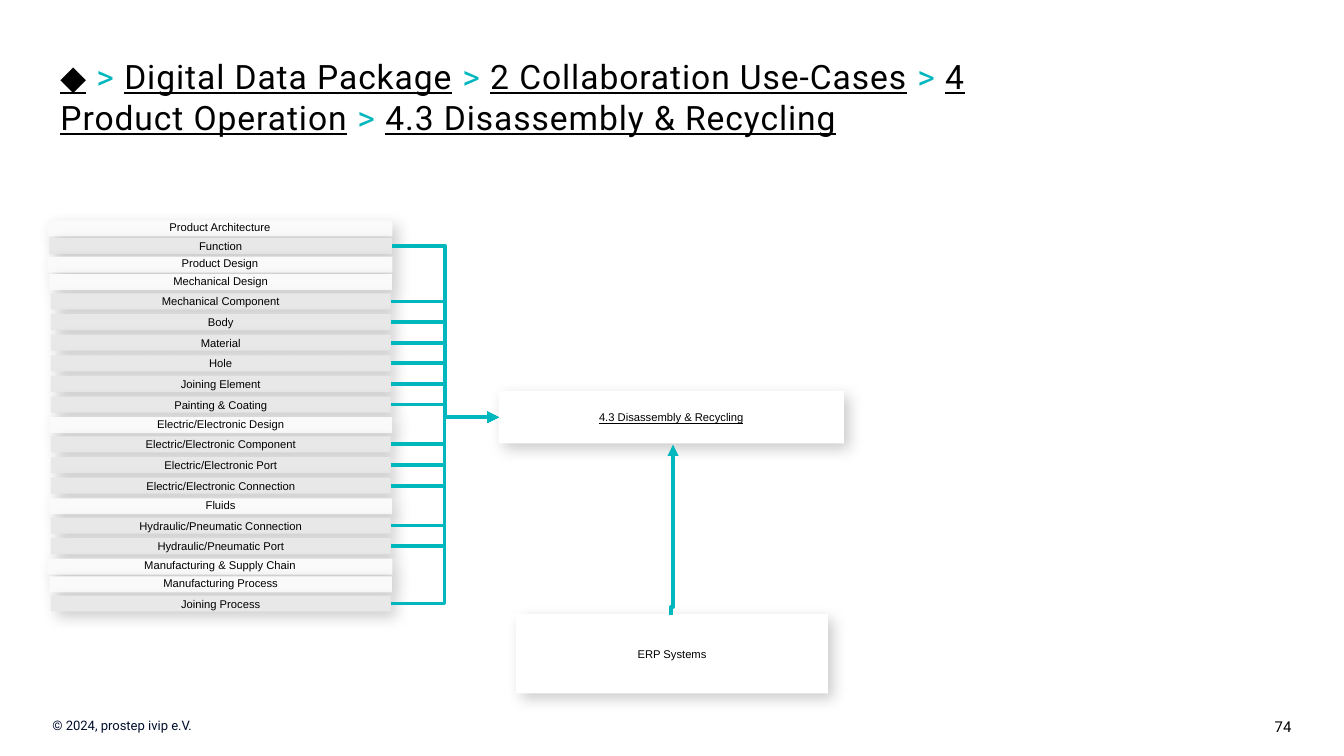
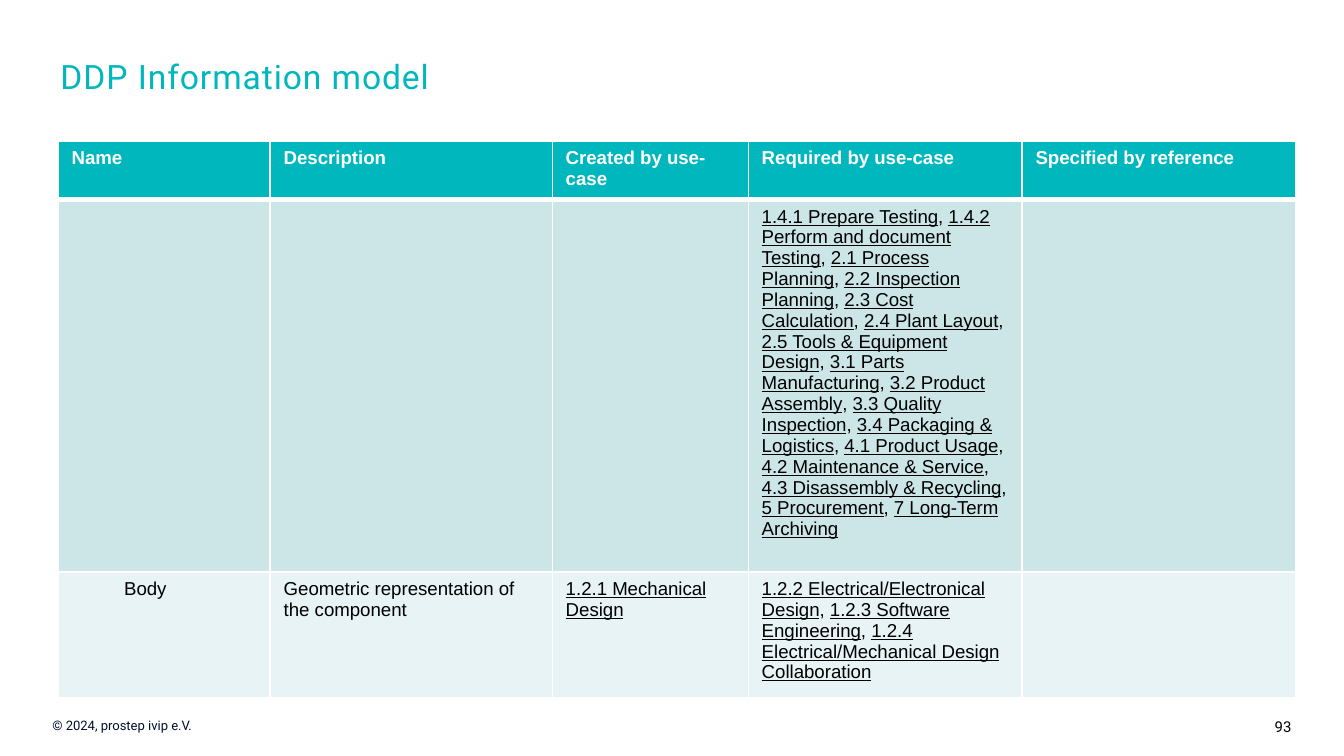
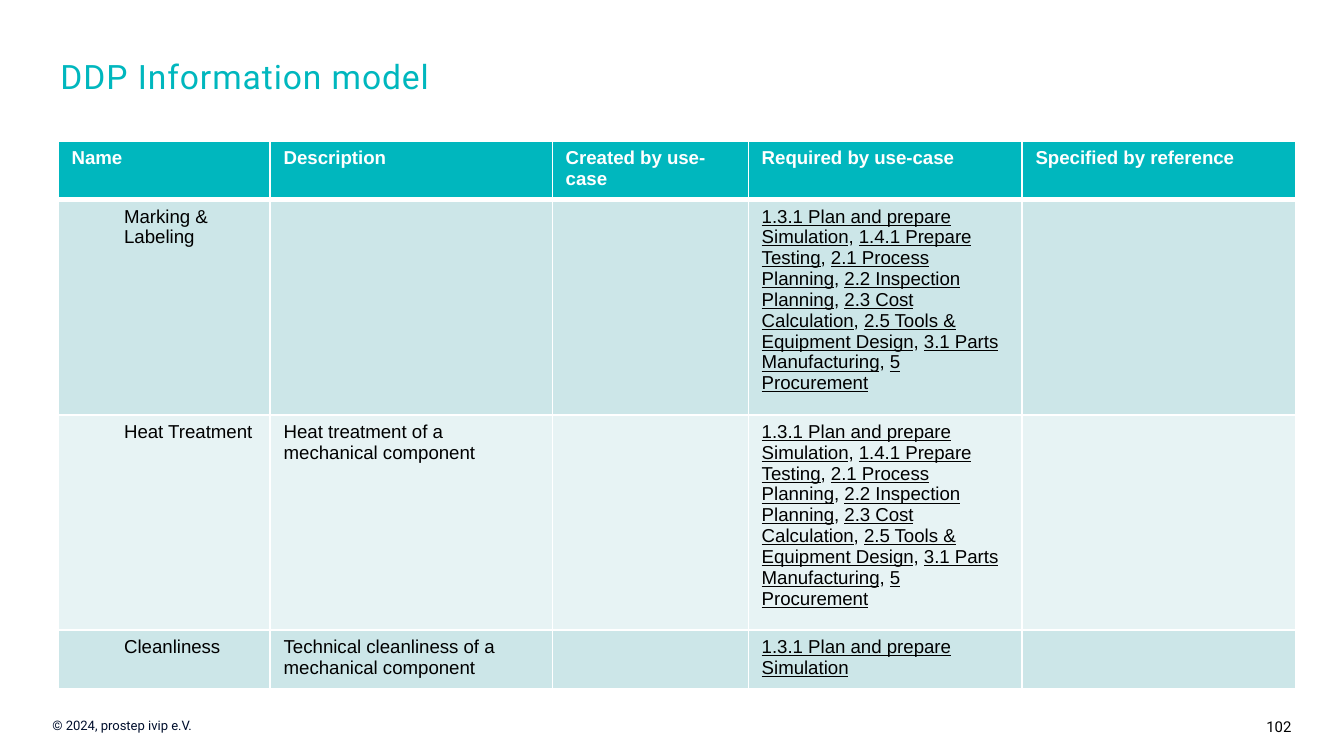
from dataclasses import dataclass, replace
from typing import Any, Sequence, Union

from lxml import etree
from pptx import Presentation
from pptx.dml.color import RGBColor
from pptx.enum.shapes import MSO_CONNECTOR, MSO_SHAPE
from pptx.enum.text import MSO_ANCHOR, MSO_AUTO_SIZE, PP_ALIGN
from pptx.oxml.ns import qn
from pptx.util import Pt

RECTANGLE = MSO_SHAPE.RECTANGLE
ELBOW = MSO_CONNECTOR.ELBOW
TOP, MIDDLE = MSO_ANCHOR.TOP, MSO_ANCHOR.MIDDLE
LEFT, CENTER, RIGHT = PP_ALIGN.LEFT, PP_ALIGN.CENTER, PP_ALIGN.RIGHT
FIT_NONE, FIT_SHAPE = MSO_AUTO_SIZE.NONE, MSO_AUTO_SIZE.SHAPE_TO_FIT_TEXT
TITLE_ONLY = 5
LEFT_SITE, RIGHT_SITE = 1, 3


@dataclass(frozen=True)
class Theme:
    accent: RGBColor = RGBColor(0x00, 0xB7, 0xBE)
    black: RGBColor = RGBColor(0x00, 0x00, 0x00)
    white: RGBColor = RGBColor(0xFF, 0xFF, 0xFF)
    navy: RGBColor = RGBColor(0x00, 0x0F, 0x2D)
    heading_fill: RGBColor = RGBColor(0xFA, 0xFA, 0xFA)
    item_fill: RGBColor = RGBColor(0xE8, 0xE8, 0xE8)
    odd_row: RGBColor = RGBColor(0xCC, 0xE6, 0xE8)
    even_row: RGBColor = RGBColor(0xE7, 0xF3, 0xF4)
    brand_font: str = "Roboto"
    body_font: str = "Arial"
    title_size: float = 18
    table_size: float = 10
    page_size: float = 8
    footer_size: float = 7
    box_size: float = 6
    line_width: float = 2


THEME = Theme()


@dataclass(frozen=True)
class TextLook:
    font: str
    size: float
    color: RGBColor
    bold: bool = False
    underline: bool = False
    spacing: int = 0


TITLE_LOOK = TextLook(THEME.brand_font, THEME.title_size, THEME.accent, spacing=50)
TITLE_LINK = replace(TITLE_LOOK, color=THEME.black, underline=True)
PAGE_LOOK = TextLook(THEME.brand_font, THEME.page_size, THEME.black)
FOOTER_LOOK = TextLook(THEME.brand_font, THEME.footer_size, THEME.navy)
BOX_LOOK = TextLook(THEME.body_font, THEME.box_size, THEME.black)
BOX_LINK = replace(BOX_LOOK, underline=True)
CELL_LOOK = TextLook(THEME.body_font, THEME.table_size, THEME.black)
CELL_LINK = replace(CELL_LOOK, underline=True)
HEADER_LOOK = replace(CELL_LOOK, color=THEME.white, bold=True)


@dataclass(frozen=True)
class Area:
    left: float
    top: float
    width: float
    height: float

    def lengths(self) -> tuple:
        return Pt(self.left), Pt(self.top), Pt(self.width), Pt(self.height)


@dataclass(frozen=True)
class BarKind:
    left: float
    width: float
    fill: RGBColor
    anchor: Any
    step: float
    linked: bool


CHAPTER = BarKind(25.4, 184.8, THEME.heading_fill, TOP, 9.4, False)
SECTION = BarKind(26.4, 183.6, THEME.heading_fill, TOP, 10.3, False)
FEATURE = BarKind(26.4, 183.6, THEME.item_fill, MIDDLE, 10, True)
PART = BarKind(27.2, 182, THEME.item_fill, MIDDLE, 11.05, True)

BARS = (
    (CHAPTER, ("Product Architecture",)),
    (FEATURE, ("Function",)),
    (CHAPTER, ("Product Design",)),
    (SECTION, ("Mechanical Design",)),
    (PART, ("Mechanical Component", "Body", "Material", "Hole",
            "Joining Element", "Painting & Coating")),
    (SECTION, ("Electric/Electronic Design",)),
    (PART, ("Electric/Electronic Component", "Electric/Electronic Port",
            "Electric/Electronic Connection")),
    (SECTION, ("Fluids",)),
    (PART, ("Hydraulic/Pneumatic Connection", "Hydraulic/Pneumatic Port")),
    (CHAPTER, ("Manufacturing & Supply Chain",)),
    (SECTION, ("Manufacturing Process",)),
    (PART, ("Joining Process",)),
)
FIRST_BAR_TOP = 118.1
BAR_HEIGHT = 8.6

TITLE_AREA = Area(25.2, 26.6, 539.3, 49)
PAGE_AREA = Area(654.5, 380.9, 65.5, 17.3)
FOOTER_AREA = Area(0, 380.9, 172.8, 15.8)
USE_CASE_AREA = Area(267.1, 209.5, 185, 28.1)
SYSTEMS_AREA = Area(276.5, 329, 167, 42.5)
TABLE_AREA = Area(31.2, 75.6, 663.1, 74.2)

Cell = Union[str, tuple]


@dataclass(frozen=True)
class TableRow:
    height: float
    name: str = ""
    description: str = ""
    created_by: Cell = ""
    required_by: Cell = ""
    reference: str = ""

    def cells(self) -> tuple:
        return (self.name, self.description, self.created_by, self.required_by,
                self.reference)


COLUMN_WIDTHS = (113.6, 151.1, 105, 146.7, 146.7)
HEADER = TableRow(11.5, "Name", "Description", "Created by use-case",
                  "Required by use-case", "Specified by reference")
TREATMENT_USES = (
    "1.3.1 Plan and prepare Simulation", "1.4.1 Prepare Testing",
    "2.1 Process Planning", "2.2 Inspection Planning", "2.3 Cost Calculation",
    "2.5 Tools & Equipment Design", "3.1 Parts Manufacturing", "5 Procurement",
)
BODY_ROWS = (
    TableRow(11.5, required_by=(
        "1.4.1 Prepare Testing", "1.4.2 Perform and document Testing",
        "2.1 Process Planning", "2.2 Inspection Planning",
        "2.3 Cost Calculation", "2.4 Plant Layout",
        "2.5 Tools & Equipment Design", "3.1 Parts Manufacturing",
        "3.2 Product Assembly", "3.3 Quality Inspection",
        "3.4 Packaging & Logistics", "4.1 Product Usage",
        "4.2 Maintenance & Service", "4.3 Disassembly & Recycling",
        "5 Procurement", "7 Long-Term Archiving")),
    TableRow(59.8, "Body", "Geometric representation of the component",
             ("1.2.1 Mechanical Design",),
             ("1.2.2 Electrical/Electronical Design",
              "1.2.3 Software Engineering",
              "1.2.4 Electrical/Mechanical Design Collaboration")),
)
TREATMENT_ROWS = (
    TableRow(108, "Marking & Labeling", required_by=TREATMENT_USES),
    TableRow(108, "Heat Treatment", "Heat treatment of a mechanical component",
             required_by=TREATMENT_USES),
    TableRow(23.8, "Cleanliness", "Technical cleanliness of a mechanical component",
             required_by=TREATMENT_USES[:1]),
)


def apply_format(target: Any, values: dict) -> None:
    for name, value in values.items():
        setattr(target, name, value)


def margins(left: float, top: float, right: float, bottom: float) -> dict:
    return {"margin_left": Pt(left), "margin_top": Pt(top),
            "margin_right": Pt(right), "margin_bottom": Pt(bottom)}


def write_run(paragraph: Any, text: str, look: TextLook) -> None:
    run = paragraph.add_run()
    run.text = text
    apply_format(run.font, {"name": look.font, "size": Pt(look.size),
                            "bold": look.bold, "underline": look.underline})
    run.font.color.rgb = look.color
    if look.spacing:
        run.font._element.set("spc", str(look.spacing))


def write_links(paragraph: Any, names: Sequence[str], link: TextLook,
                separator: str, plain: TextLook) -> None:
    for index, name in enumerate(names):
        if index:
            write_run(paragraph, separator, plain)
        write_run(paragraph, name, link)


def add_footer_text(slide: Any, area: Area, text: str, look: TextLook,
                    alignment: Any, insets: dict) -> None:
    frame = slide.shapes.add_textbox(*area.lengths()).text_frame
    apply_format(frame, {"word_wrap": True, "auto_size": FIT_SHAPE, **insets})
    frame.paragraphs[0].alignment = alignment
    write_run(frame.paragraphs[0], text, look)


def start_slide(presentation: Any, page: int, *title: str) -> Any:
    slide = presentation.slides.add_slide(presentation.slide_layouts[TITLE_ONLY])
    add_footer_text(slide, PAGE_AREA, str(page), PAGE_LOOK, RIGHT,
                    margins(7.2, 3.6, 28.1, 3.6))
    add_footer_text(slide, FOOTER_AREA, "© 2024, prostep ivip e.V.", FOOTER_LOOK,
                    LEFT, margins(28.1, 3.6, 7.2, 3.6))
    placeholder = slide.shapes.title
    apply_format(placeholder, dict(zip(("left", "top", "width", "height"),
                                       TITLE_AREA.lengths())))
    frame = placeholder.text_frame
    apply_format(frame, {"word_wrap": True, "auto_size": FIT_NONE,
                         "vertical_anchor": TOP, **margins(7.2, 3.6, 7.2, 3.6)})
    paragraph = frame.paragraphs[0]
    paragraph.alignment = LEFT
    link = TITLE_LINK if len(title) > 1 else TITLE_LOOK
    write_links(paragraph, title, link, " > ", TITLE_LOOK)
    return slide


def add_shadow(shape: Any) -> None:
    shape.shadow.inherit = False
    effects = shape._element.spPr.find(qn("a:effectLst"))
    shadow = etree.SubElement(effects, qn("a:outerShdw"), blurRad=str(Pt(8)),
                              dist=str(Pt(4)), dir="2700000", algn="tl",
                              rotWithShape="0")
    color = etree.SubElement(shadow, qn("a:srgbClr"), val=str(THEME.black))
    etree.SubElement(color, qn("a:alpha"), val="20000")


def add_box(slide: Any, area: Area, text: str, fill: RGBColor,
            anchor: Any = MIDDLE, look: TextLook = BOX_LOOK, inset: float = 0) -> Any:
    shape = slide.shapes.add_shape(RECTANGLE, *area.lengths())
    shape.fill.solid()
    shape.fill.fore_color.rgb = fill
    shape.line.fill.background()
    add_shadow(shape)
    frame = shape.text_frame
    apply_format(frame, {"word_wrap": True, "vertical_anchor": anchor,
                         **margins(inset, inset, inset, inset)})
    frame.paragraphs[0].alignment = CENTER
    write_run(frame.paragraphs[0], text, look)
    return shape


def add_arrow(slide: Any, begin_x: int, begin_y: int, end_x: int, end_y: int) -> Any:
    connector = slide.shapes.add_connector(ELBOW, begin_x, begin_y, end_x, end_y)
    connector.line.color.rgb = THEME.accent
    connector.line.width = Pt(THEME.line_width)
    properties = connector._element.spPr
    etree.SubElement(properties.find(qn("a:ln")), qn("a:tailEnd"), type="triangle")
    etree.SubElement(properties, qn("a:effectLst"))
    return connector


def link_bar(slide: Any, bar: Any, target: Any) -> None:
    connector = add_arrow(slide, bar.left + bar.width, bar.top + bar.height // 2,
                          target.left, target.top + target.height // 2)
    connector.begin_connect(bar, RIGHT_SITE)
    connector.end_connect(target, LEFT_SITE)


def link_systems(slide: Any) -> None:
    center_x, center_y, length, jog = 360, 284, 91.4, 1
    connector = add_arrow(slide, Pt(center_x + length / 2), Pt(center_y + jog / 2),
                          Pt(center_x - length / 2), Pt(center_y - jog / 2))
    properties = connector._element.spPr
    properties.find(qn("a:xfrm")).set("rot", "5400000")
    adjustments = properties.find(qn("a:prstGeom")).find(qn("a:avLst"))
    etree.SubElement(adjustments, qn("a:gd"), name="adj1", fmla="val 5000")


def build_use_case_slide(presentation: Any) -> None:
    slide = start_slide(presentation, 74, "◆", "Digital Data Package",
                        "2 Collaboration Use-Cases", "4 Product Operation",
                        "4.3 Disassembly & Recycling")
    use_case = add_box(slide, USE_CASE_AREA, "4.3 Disassembly & Recycling",
                       THEME.white, look=BOX_LINK, inset=2.9)
    add_box(slide, SYSTEMS_AREA, "ERP Systems", THEME.white)
    link_systems(slide)
    top = FIRST_BAR_TOP
    for kind, names in BARS:
        for name in names:
            area = Area(kind.left, top, kind.width, BAR_HEIGHT)
            bar = add_box(slide, area, name, kind.fill, kind.anchor)
            if kind.linked:
                link_bar(slide, bar, use_case)
            top += kind.step


def set_borders(cell: Any, top: float, bottom: float) -> None:
    properties = cell._tc.get_or_add_tcPr()
    for side, width in {"L": 1, "R": 1, "T": top, "B": bottom}.items():
        line = etree.SubElement(properties, qn(f"a:ln{side}"), w=str(Pt(width)))
        fill = etree.SubElement(line, qn("a:solidFill"))
        etree.SubElement(fill, qn("a:srgbClr"), val=str(THEME.white))


def fill_cell(cell: Any, content: Cell, fill: RGBColor, look: TextLook,
              indent: float) -> None:
    cell.fill.solid()
    cell.fill.fore_color.rgb = fill
    apply_format(cell, {"vertical_anchor": TOP, **margins(indent, 3.6, 7.2, 3.6)})
    paragraph = cell.text_frame.paragraphs[0]
    if isinstance(content, tuple):
        write_links(paragraph, content, CELL_LINK, ", ", look)
    elif content:
        write_run(paragraph, content, look)


def build_table_slide(presentation: Any, page: int, body: Sequence[TableRow]) -> None:
    slide = start_slide(presentation, page, "DDP Information model")
    rows = (HEADER, *body)
    graphic = slide.shapes.add_table(len(rows), len(COLUMN_WIDTHS),
                                     *TABLE_AREA.lengths())
    table = graphic.table
    for column, width in zip(table.columns, COLUMN_WIDTHS):
        column.width = Pt(width)
    for row_index, row in enumerate(rows):
        table.rows[row_index].height = Pt(row.height)
        is_header = row_index == 0
        band = THEME.odd_row if row_index % 2 else THEME.even_row
        for column_index, content in enumerate(row.cells()):
            cell = table.cell(row_index, column_index)
            is_name = column_index == 0 and not is_header and content
            set_borders(cell, 3 if row_index == 1 else 1, 3 if is_header else 1)
            fill_cell(cell, content, THEME.accent if is_header else band,
                      HEADER_LOOK if is_header else CELL_LOOK,
                      35.3 if is_name else 7.2)
    graphic.height = Pt(TABLE_AREA.height)


def main() -> None:
    presentation = Presentation()
    presentation.slide_width = Pt(720)
    presentation.slide_height = Pt(405)
    build_use_case_slide(presentation)
    build_table_slide(presentation, 93, BODY_ROWS)
    build_table_slide(presentation, 102, TREATMENT_ROWS)
    presentation.save("out.pptx")


if __name__ == "__main__":
    main()
